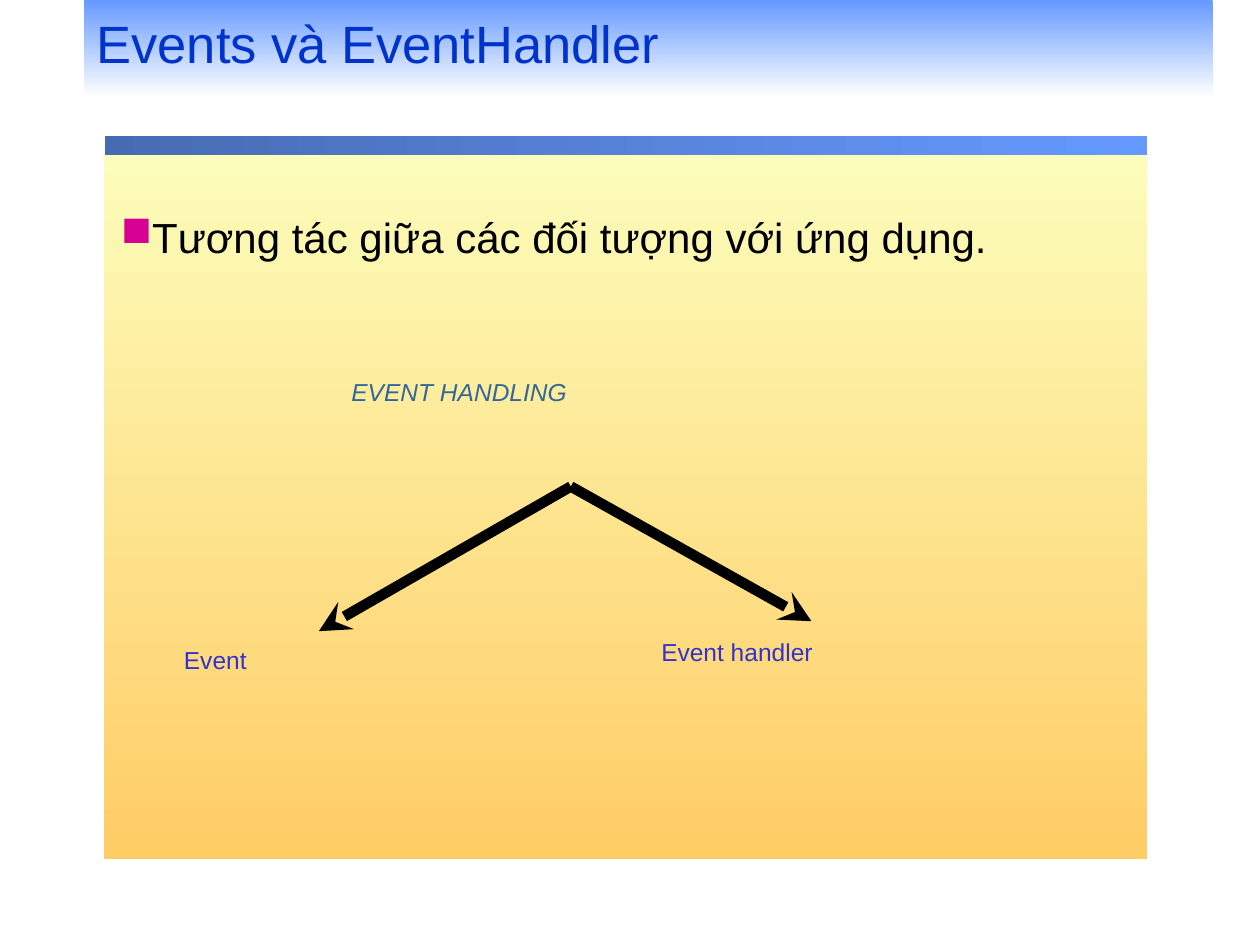
from lxml import etree
from pptx import Presentation
from pptx import util as u
from pptx.dml.color import RGBColor
from pptx.enum import shapes, text
from pptx.oxml import ns

COLORS = {
    "sky": "6699FF", "steel": "476BB3", "white": "FFFFFF",
    "cream": "FCFEBC", "amber": "FFCC66", "title": "0033CC",
    "black": "000000", "bullet": "D60093", "heading": "336699",
    "label": "3333CC",
}
FONT = "Arial"


def rgb(name):
    return RGBColor.from_string(COLORS[name])


def fill_gradient(shape, start, end, angle):
    """Fill from start to end; the angle runs counter-clockwise."""
    shape.fill.gradient()
    shape.fill.gradient_angle = angle
    for stop, name in zip(shape.fill.gradient_stops, (start, end)):
        stop.color.rgb = rgb(name)


def format_font(para, size, color, italic=False):
    font = para.font
    font.name, font.size, font.italic = FONT, u.Pt(size), italic
    font.color.rgb = rgb(color)


def add_panel(page, place, start, end, angle):
    panel = page.shapes.add_shape(
        shapes.MSO_SHAPE.RECTANGLE, *map(u.Pt, place))
    panel.shadow.inherit = False
    panel.line.fill.background()
    fill_gradient(panel, start, end, angle)


def set_title(page, words, place):
    title = page.shapes.title
    title.left, title.top, title.width, title.height = map(u.Pt, place)
    fill_gradient(title, "sky", "white", 270)
    frame = title.text_frame
    frame.auto_size = text.MSO_AUTO_SIZE.NONE
    frame.vertical_anchor = text.MSO_ANCHOR.MIDDLE
    frame.text = words
    para = frame.paragraphs[0]
    para.alignment = text.PP_ALIGN.LEFT
    para.line_spacing = 0.8
    format_font(para, 30, "title")


def add_text(page, words, place, size, color, italic=False):
    box = page.shapes.add_textbox(*map(u.Pt, place))
    box.text_frame.word_wrap = True
    para = box.text_frame.paragraphs[0]
    para.text = words
    format_font(para, size, color, italic)
    return para


def add_bullet_text(page, words, place):
    para = add_text(page, words, place, 24, "black")
    para.line_spacing = 1.5
    props = para._p.get_or_add_pPr()
    props.set("marL", "0")
    props.set("indent", "0")
    color = etree.Element(ns.qn("a:buClr"))
    etree.SubElement(color, ns.qn("a:srgbClr"), val=COLORS["bullet"])
    mark = etree.Element(ns.qn("a:buChar"), char="■")
    # Bullet elements belong just before the default run properties
    run_props = props.find(ns.qn("a:defRPr"))
    run_props.addprevious(color)
    run_props.addprevious(mark)


def add_arrow(page, start, end):
    arrow = page.shapes.add_connector(
        shapes.MSO_CONNECTOR.STRAIGHT, *map(u.Pt, start + end))
    arrow.line.width = u.Pt(6)
    arrow.line.color.rgb = rgb("black")
    etree.SubElement(arrow.line._get_or_add_ln(), ns.qn("a:tailEnd"),
                     type="stealth")
    etree.SubElement(arrow._element.spPr, ns.qn("a:effectLst"))


def main():
    deck = Presentation()
    deck.slide_width, deck.slide_height = u.Pt(720), u.Pt(540)
    page = deck.slides.add_slide(deck.slide_layouts[5])

    # Background panel with its top bar
    add_panel(page, (59.6, 79.2, 596, 412), "cream", "amber", 270)
    add_panel(page, (60.2, 77.8, 595.5, 10.8), "sky", "steel", 180)

    # Title and statement
    set_title(page, "Events và EventHandler", (48, 0, 645, 55.4))
    add_bullet_text(page, "Tương tác giữa các đối tượng với ứng dụng.",
                    (62, 103, 524, 50.4))

    # Event handling splits into two parts
    add_text(page, "EVENT HANDLING", (193.7, 211.7, 276, 64), 14,
             "heading", italic=True)
    add_text(page, "Event", (98, 365, 112, 109), 14, "label")
    add_text(page, "Event handler", (370.8, 360.7, 235.4, 43), 14, "label")
    fork = (326.2, 278)
    for tip in ((182.2, 360.7), (463.7, 355)):
        add_arrow(page, fork, tip)

    deck.save("out.pptx")


if __name__ == "__main__":
    main()
